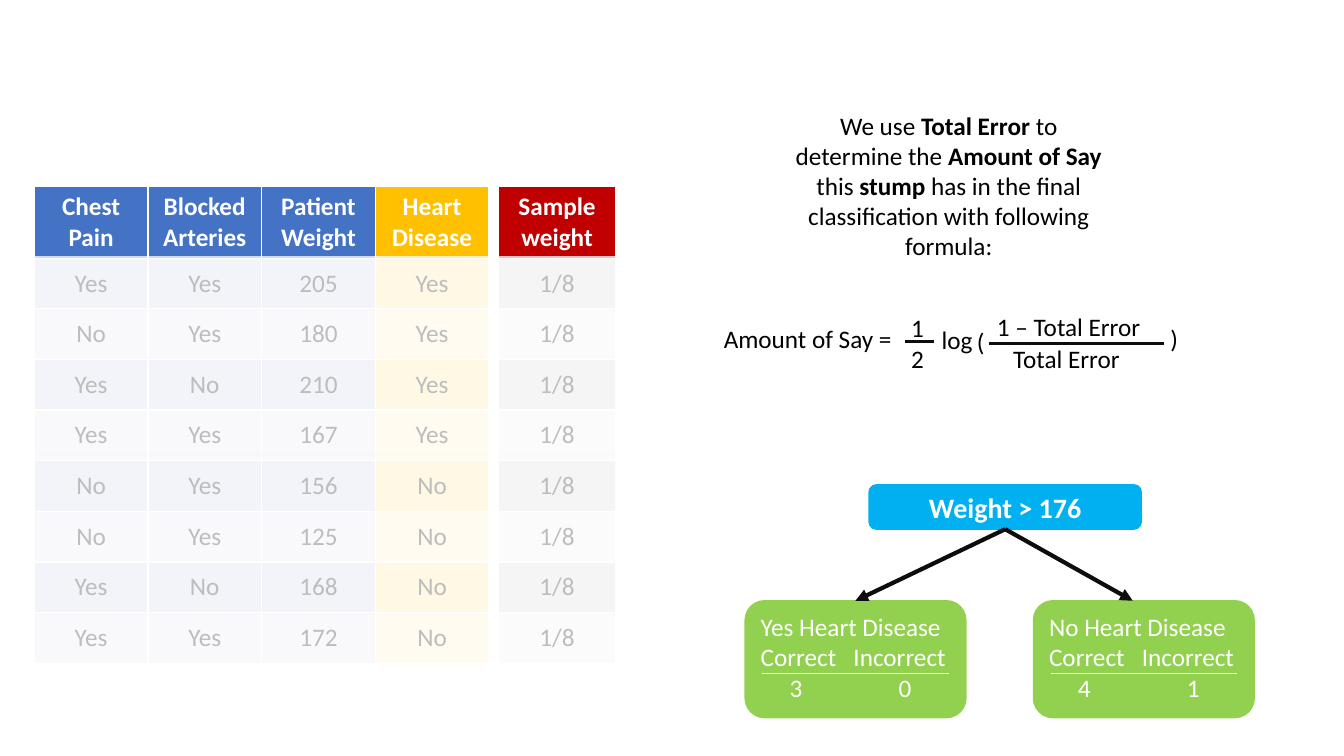
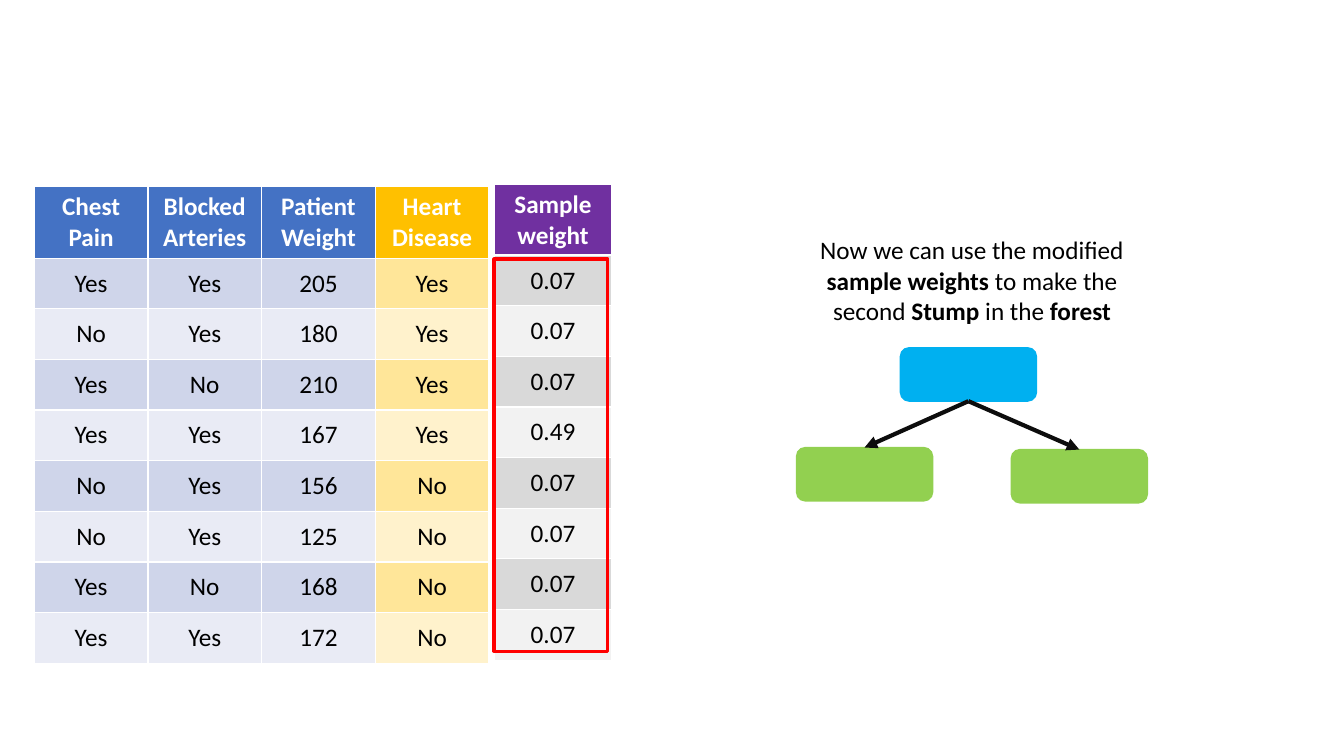
from dataclasses import dataclass

from lxml import etree
from pptx import Presentation
from pptx.dml.color import RGBColor
from pptx.enum.shapes import MSO_CONNECTOR as Connector, MSO_SHAPE as Preset
from pptx.enum.text import MSO_ANCHOR as Anchor, PP_ALIGN as Align
from pptx.oxml.ns import qn
from pptx.util import Inches, Pt

SLIDE_WIDTH, SLIDE_HEIGHT = Inches(13.33), Inches(7.5)
GRID_ROWS = 75
CELL = SLIDE_HEIGHT // GRID_ROWS

WHITE = RGBColor(0xFF, 0xFF, 0xFF)
BLACK = RGBColor(0x00, 0x00, 0x00)
INK = RGBColor(0x0D, 0x0D, 0x0D)
BLUE = RGBColor(0x44, 0x72, 0xC4)
BLUE_BANDS = RGBColor(0xCF, 0xD5, 0xEA), RGBColor(0xE9, 0xEB, 0xF5)
GOLD = RGBColor(0xFF, 0xC0, 0x00)
GOLD_BANDS = RGBColor(0xFF, 0xE6, 0x99), RGBColor(0xFF, 0xF2, 0xCC)
GREY_BANDS = RGBColor(0xD9, 0xD9, 0xD9), RGBColor(0xF2, 0xF2, 0xF2)
CRIMSON = RGBColor(0xC0, 0x00, 0x00)
PURPLE = RGBColor(0x70, 0x30, 0xA0)
RED = RGBColor(0xFF, 0x00, 0x00)
SKY = RGBColor(0x00, 0xB0, 0xF0)
GREEN = RGBColor(0x92, 0xD0, 0x50)

FONT = "Calibri"
BODY_SIZE, ROOT_SIZE = 18, 20
HEADER_ROWS = 6.9


@dataclass
class Box:
    """A rectangle measured in grid cells."""
    left: float
    top: float
    width: float
    height: float

    def inner(self, left, top, width, height):
        """Return a box placed relative to this one."""
        return Box(self.left + left, self.top + top, width, height)

    def lengths(self):
        """Return left, top, width and height as slide lengths."""
        return [cells(n) for n in (self.left, self.top, self.width, self.height)]


@dataclass
class Column:
    """One table column with its header, colours and values."""
    header: str
    fill: RGBColor
    bands: tuple
    values: list


PATIENTS = [
    Column("Chest Pain", BLUE, BLUE_BANDS,
           ["Yes", "No", "Yes", "Yes", "No", "No", "Yes", "Yes"]),
    Column("Blocked\nArteries", BLUE, BLUE_BANDS,
           ["Yes", "Yes", "No", "Yes", "Yes", "Yes", "No", "Yes"]),
    Column("Patient Weight", BLUE, BLUE_BANDS,
           ["205", "180", "210", "167", "156", "125", "168", "172"]),
    Column("Heart Disease", GOLD, GOLD_BANDS, ["Yes"] * 4 + ["No"] * 4),
]
PATIENTS_BOX = Box(3.4, 18.5, 45.1, 47.1)


def cells(count):
    """Convert a number of grid cells to a slide length."""
    return round(count * CELL)


def style(paragraph, color=BLACK, align=Align.CENTER, size=BODY_SIZE, bold=False):
    """Set the alignment and font of a paragraph."""
    paragraph.alignment = align
    font = paragraph.font
    font.name, font.size, font.bold = FONT, Pt(size), bold
    font.color.rgb = color


def add_text(slide, box, text, align=Align.CENTER):
    """Add one paragraph in which asterisks enclose bold words."""
    frame = slide.shapes.add_textbox(*box.lengths()).text_frame
    frame.word_wrap = True
    paragraph = frame.paragraphs[0]
    style(paragraph, align=align)
    for index, words in enumerate(text.split("*")):
        run = paragraph.add_run()
        run.text = words
        if index % 2:
            run.font.bold = True


def add_block(slide, box, preset, fill=None, line=None, width=1):
    """Add a preset shape with an optional fill and outline."""
    block = slide.shapes.add_shape(preset, *box.lengths())
    block.shadow.inherit = False
    if fill is None:
        block.fill.background()
    else:
        block.fill.solid()
        block.fill.fore_color.rgb = fill
    if line is None:
        block.line.fill.background()
    else:
        block.line.color.rgb = line
        block.line.width = Pt(width)
    return block


def add_line(slide, start, end, color=INK, width=2.25, arrow=False):
    """Add a straight line, with an arrowhead at its end if wanted."""
    line = slide.shapes.add_connector(
        Connector.STRAIGHT, *[cells(n) for n in (*start, *end)])
    line.line.color.rgb = color
    line.line.width = Pt(width)
    properties = line.element.spPr
    if arrow:
        etree.SubElement(properties.find(qn("a:ln")), qn("a:tailEnd"), type="triangle")
    etree.SubElement(properties, qn("a:effectLst"))


def add_columns(slide, box, columns):
    """Add a banded table that fills the box with equal columns."""
    count = len(columns[0].values)
    table = slide.shapes.add_table(count + 1, len(columns), *box.lengths()).table
    for row in table.rows:
        row.height = cells((box.height - HEADER_ROWS) / count)
    table.rows[0].height = cells(HEADER_ROWS)
    for x, column in enumerate(columns):
        table.columns[x].width = cells(box.width / len(columns))
        for y, value in enumerate([column.header, *column.values]):
            cell = table.cell(y, x)
            cell.text = value
            cell.vertical_anchor = Anchor.MIDDLE
            cell.fill.solid()
            cell.fill.fore_color.rgb = column.bands[(y - 1) % 2] if y else column.fill
            for paragraph in cell.text_frame.paragraphs:
                style(paragraph, BLACK if y else WHITE, bold=not y)


def add_sample_weights(slide, box, fill, weights):
    """Add the single-column table of sample weights."""
    add_columns(slide, box, [Column("Sample weight", fill, GREY_BANDS, weights)])


def add_veil(slide, box):
    """Fade what lies under the box with translucent white."""
    veil = add_block(slide, box, Preset.RECTANGLE, WHITE)
    color = veil.element.spPr.find(qn("a:solidFill"))[0]
    etree.SubElement(color, qn("a:alpha"), val="74000")


def add_stump(slide, root_box, leaf_boxes, tip_shifts=(0, 0)):
    """Add a root with arrows to its leaves and return root and leaves."""
    root = add_block(slide, root_box, Preset.ROUNDED_RECTANGLE, SKY, SKY)
    start = root_box.left + root_box.width / 2, root_box.top + root_box.height
    leaves = []
    for leaf_box, shift in zip(leaf_boxes, tip_shifts):
        leaves.append(add_block(slide, leaf_box, Preset.ROUNDED_RECTANGLE, GREEN, GREEN))
        tip = leaf_box.left + leaf_box.width / 2 + shift, leaf_box.top
        add_line(slide, start, tip, width=3, arrow=True)
    return root, leaves


def set_tabs(paragraph, stops):
    """Give a styled paragraph tab stops as pairs of grid cells and alignment."""
    tabs = etree.Element(qn("a:tabLst"))
    for position, align in stops:
        etree.SubElement(tabs, qn("a:tab"), pos=str(cells(position)), algn=align)
    paragraph.font._element.getparent().insert(0, tabs)


def fill_leaf(slide, leaf, box, title, correct, incorrect):
    """Write the counts of a leaf under a ruled heading."""
    frame = leaf.text_frame
    frame.vertical_anchor = Anchor.TOP
    frame.text = f"{title}\nCorrect\tIncorrect\n\t{correct}\t{incorrect}"
    for paragraph in frame.paragraphs:
        style(paragraph, WHITE, Align.LEFT)
    set_tabs(frame.paragraphs[1], [(9.2, "l")])
    set_tabs(frame.paragraphs[2], [(3.5, "ctr"), (14.3, "ctr")])
    rule = box.inner(1.7, 7.2, 18.5, 0)
    add_line(slide, (rule.left, rule.top), (rule.left + rule.width, rule.top), WHITE, 1)


def add_weight_stump(slide, box):
    """Add the stump that splits patients by weight."""
    root_box = box.inner(12.3, 0, 27, 4.4)
    leaf_boxes = [box.inner(left, 11.5, 21.9, 11.6) for left in (0, 28.6)]
    root, leaves = add_stump(slide, root_box, leaf_boxes, (0, -1.1))
    root.text_frame.text = "Weight > 176"
    style(root.text_frame.paragraphs[0], WHITE, size=ROOT_SIZE, bold=True)
    counts = [("Yes Heart Disease", 3, 0), ("No Heart Disease", 4, 1)]
    for leaf, leaf_box, count in zip(leaves, leaf_boxes, counts):
        fill_leaf(slide, leaf, leaf_box, *count)


def add_formula(slide, box):
    """Set the amount of say formula in the box."""
    for left, right, y in [(27.3, 44.6, 3.7), (19, 21.8, 3.5)]:
        add_line(slide, (box.left + left, box.top + y), (box.left + right, box.top + y))
    for text, left, top, width, align in [
        ("Amount of Say =", 0, 1.2, 19.8, Align.LEFT),
        ("1", 18, 0.1, 4.4, Align.CENTER),
        ("2", 18, 3.2, 4.4, Align.CENTER),
        ("log", 21.6, 1.3, 6.1, Align.LEFT),
        ("(", 25.1, 1.5, 5.7, Align.LEFT),
        ("1 – Total Error", 27.1, 0, 19.7, Align.LEFT),
        ("Total Error", 28.7, 3.2, 13.9, Align.LEFT),
        (")", 44.3, 1.2, 5.7, Align.LEFT),
    ]:
        add_text(slide, box.inner(left, top, width, 4), text, align)


def add_patients_slide(deck):
    """Add a blank slide that holds the patients table."""
    slide = deck.slides.add_slide(deck.slide_layouts[6])
    add_columns(slide, PATIENTS_BOX, PATIENTS)
    return slide


def add_amount_of_say_slide(deck):
    """Add the slide that derives the amount of say."""
    slide = add_patients_slide(deck)
    add_sample_weights(slide, Box(49.4, 18.5, 11.7, 47.1), CRIMSON, ["1/8"] * 8)
    add_weight_stump(slide, Box(73.9, 48.1, 50.5, 23.1))
    add_veil(slide, Box(3, 25.4, 58, 19.7))
    add_veil(slide, Box(3, 45.1, 58.8, 24))
    add_text(slide, Box(77.8, 10.4, 32.6, 16.2),
             "We use *Total Error *to determine the *Amount of Say* this *stump*"
             " has in the final classification with following formula:")
    add_formula(slide, Box(70.8, 30.4, 50, 7.2))


def add_second_stump_slide(deck):
    """Add the slide that starts the second stump."""
    slide = add_patients_slide(deck)
    add_text(slide, Box(80, 22.8, 32.8, 10.1),
             "Now we can use the modified *sample weights *to make the second "
             "*Stump* in the *forest*")
    weights = ["0.07"] * 3 + ["0.49"] + ["0.07"] * 4
    weights_box = Box(49, 18.3, 11.7, 47.1)
    add_sample_weights(slide, weights_box, PURPLE, weights)
    add_block(slide, weights_box.inner(0, 7.4, 11.3, 38.9), Preset.RECTANGLE,
              line=RED, width=2.25)
    stump = Box(79, 34.5, 34.8, 15.4)
    leaf_boxes = [stump.inner(left, top, 13.5, 5.3) for left, top in [(0, 9.9), (21.3, 10.1)]]
    add_stump(slide, stump.inner(10.3, 0, 13.5, 5.3), leaf_boxes)


def main():
    """Build and save the presentation."""
    deck = Presentation()
    deck.slide_width, deck.slide_height = SLIDE_WIDTH, SLIDE_HEIGHT
    add_amount_of_say_slide(deck)
    add_second_stump_slide(deck)
    deck.save("out.pptx")


if __name__ == "__main__":
    main()
